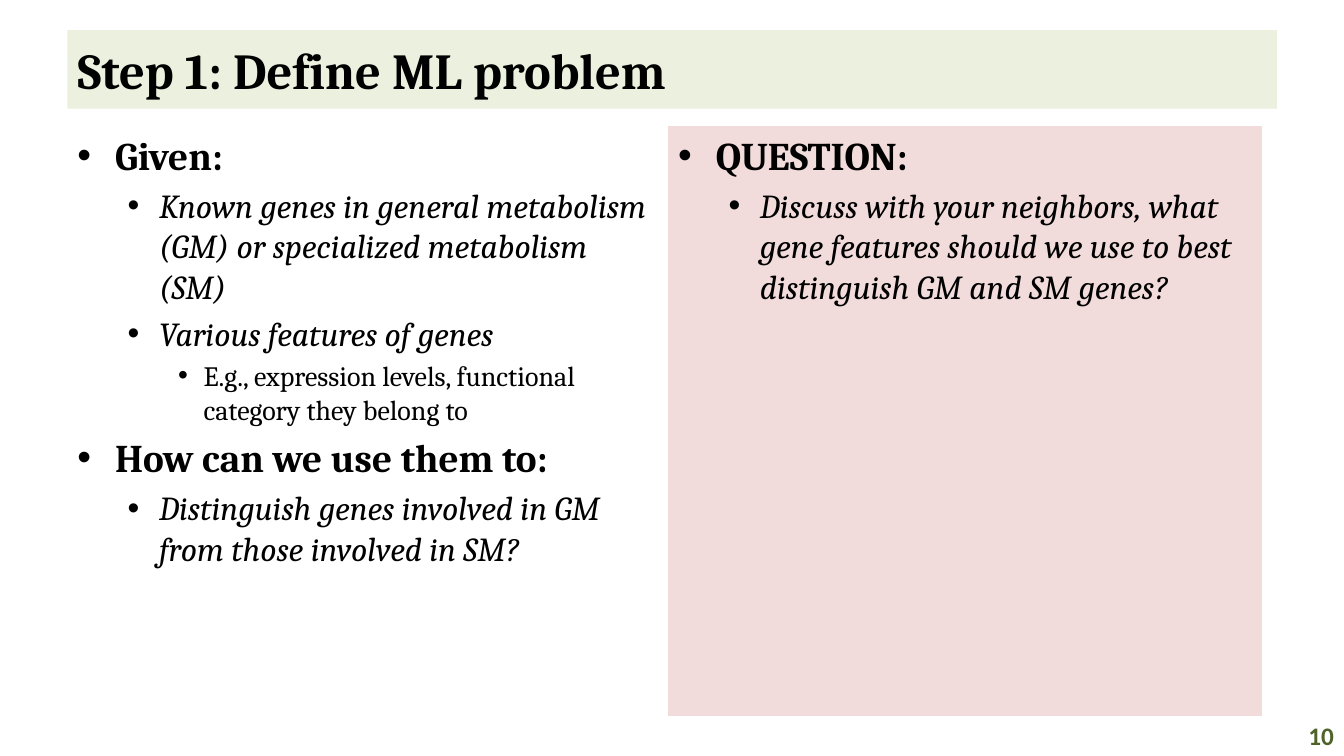
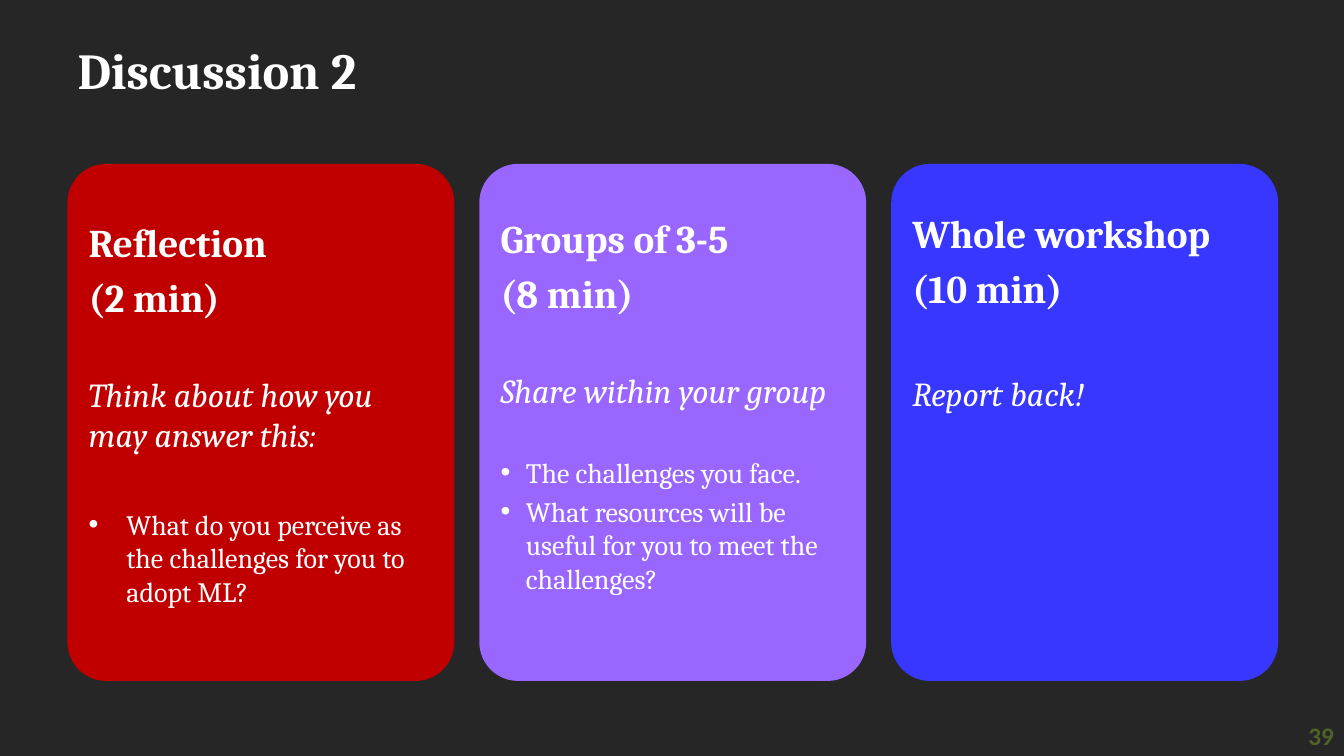
from dataclasses import dataclass

from lxml.etree import SubElement
from pptx import Presentation
from pptx.dml.color import RGBColor
from pptx.enum.shapes import MSO_SHAPE
from pptx.enum.text import MSO_ANCHOR, MSO_AUTO_SIZE, PP_ALIGN
from pptx.oxml.ns import qn
from pptx.util import Cm, Pt


@dataclass(frozen=True)
class Theme:
    heading_font: str = "Cambria"
    number_font: str = "Calibri"
    white: str = "FFFFFF"
    black: str = "000000"
    dark: str = "262626"
    title_band: str = "EBF1DE"
    question_panel: str = "F2DCDB"
    number: str = "4F6228"
    red: str = "C00000"
    purple: str = "9966FF"
    blue: str = "3737FF"
    title_size: int = 36
    number_size: int = 18
    heading_size: int = 28
    detail_size: int = 24
    note_size: int = 20


THEME = Theme()

HEADING = dict(size=THEME.heading_size, bold=True)
DETAIL = dict(size=THEME.detail_size, italic=True)
NOTE = dict(size=THEME.note_size)
OUTLINE = [
    dict(HEADING, level=0, indent=0.95, hanging=0.95),
    dict(DETAIL, level=1, indent=2.06, hanging=0.79),
    dict(NOTE, level=2, indent=3.18, hanging=0.64),
]

MARGIN = 1.7
COLUMN_TOP, COLUMN_WIDTH, COLUMN_HEIGHT = 3.18, 14.96, 14.86
QUESTION_LEFT = 16.84
CARD_TOP, CARD_WIDTH, CARD_HEIGHT, CARD_GAP = 4.13, 9.75, 13.03, 0.63


def color(value):
    return RGBColor.from_string(value)


def add_bullet(paragraph, indent, hanging):
    properties = paragraph._p.get_or_add_pPr()
    properties.set("marL", str(Cm(indent)))
    properties.set("indent", str(-Cm(hanging)))
    SubElement(properties, qn("a:buFont")).set("typeface", "Arial")
    SubElement(properties, qn("a:buChar")).set("char", "•")


def add_text(frame, text, *, size, ink, font=THEME.heading_font, bold=False,
             italic=False, align=PP_ALIGN.LEFT, level=0, indent=0, hanging=0,
             before=None):
    first = not frame.text
    paragraph = frame.paragraphs[0] if first else frame.add_paragraph()
    if hanging:
        add_bullet(paragraph, indent, hanging)
    paragraph.level = level
    paragraph.alignment = align
    spacing = size * 0.2 if before is None else before
    paragraph.space_before = Pt(0 if first else spacing)
    run = paragraph.add_run()
    run.text = text
    run.font.name = font
    run.font.size = Pt(size)
    run.font.bold = bold
    run.font.italic = italic
    run.font.color.rgb = color(ink)


def prepare_frame(shape, anchor):
    frame = shape.text_frame
    frame.word_wrap = True
    frame.auto_size = MSO_AUTO_SIZE.NONE
    frame.vertical_anchor = anchor
    return frame


def add_panel(slide, kind, box, fill):
    shape = slide.shapes.add_shape(kind, *map(Cm, box))
    shape.shadow.inherit = False
    shape.fill.solid()
    shape.fill.fore_color.rgb = color(fill)
    shape.line.fill.background()
    return shape


def add_text_box(slide, box, anchor):
    return prepare_frame(slide.shapes.add_textbox(*map(Cm, box)), anchor)


def add_slide(presentation, title_text, number, *, background, ink, band=None):
    slide = presentation.slides.add_slide(presentation.slide_layouts[5])
    slide.background.fill.solid()
    slide.background.fill.fore_color.rgb = color(background)
    title = slide.shapes.title
    title.left, title.top, title.width, title.height = map(
        Cm, (MARGIN, 0.76, 30.48, 1.98))
    if band:
        title.fill.solid()
        title.fill.fore_color.rgb = color(band)
    add_text(prepare_frame(title, MSO_ANCHOR.MIDDLE), title_text,
             size=THEME.title_size, ink=ink, bold=True)
    add_text(add_text_box(slide, (32.17, 18.03, 1.7, 1.02), MSO_ANCHOR.MIDDLE),
             str(number), size=THEME.number_size, ink=THEME.number,
             font=THEME.number_font, bold=True, align=PP_ALIGN.RIGHT)
    return slide


def add_outline(frame, items):
    for level, text in items:
        add_text(frame, text, ink=THEME.black, **OUTLINE[level])


def add_card(slide, column, fill, inset, items):
    left = MARGIN + column * (CARD_WIDTH + CARD_GAP)
    card = add_panel(slide, MSO_SHAPE.ROUNDED_RECTANGLE,
                     (left, CARD_TOP, CARD_WIDTH, CARD_HEIGHT), fill)
    card.adjustments[0] = 0.1
    frame = prepare_frame(card, MSO_ANCHOR.TOP)
    frame.margin_top = Cm(inset)
    for text, style in items:
        add_text(frame, text, ink=THEME.white, **style)


def build_problem_slide(presentation):
    slide = add_slide(presentation, "Step 1: Define ML problem", 10,
                      background=THEME.white, ink=THEME.black,
                      band=THEME.title_band)
    given = add_text_box(
        slide, (MARGIN, COLUMN_TOP, COLUMN_WIDTH, COLUMN_HEIGHT), MSO_ANCHOR.TOP)
    add_outline(given, [
        (0, "Given:"),
        (1, "Known genes in general metabolism (GM) or specialized metabolism (SM)"),
        (1, "Various features of genes"),
        (2, "E.g., expression levels, functional category they belong to"),
        (0, "How can we use them to:"),
        (1, "Distinguish genes involved in GM from those involved in SM?"),
    ])
    question = add_panel(
        slide, MSO_SHAPE.RECTANGLE,
        (QUESTION_LEFT, COLUMN_TOP, COLUMN_WIDTH, COLUMN_HEIGHT),
        THEME.question_panel)
    add_outline(prepare_frame(question, MSO_ANCHOR.TOP), [
        (0, "QUESTION:"),
        (1, "Discuss with your neighbors, what gene features should we use "
            "to best distinguish GM and SM genes?"),
    ])


def build_discussion_slide(presentation):
    slide = add_slide(presentation, "Discussion 2", 39,
                      background=THEME.dark, ink=THEME.white)
    wide_bullet = dict(NOTE, indent=0.95, hanging=0.95)
    bullet = dict(NOTE, indent=0.64, hanging=0.64)
    cards = [
        (THEME.red, 1.08, [
            ("Reflection", HEADING),
            ("(2 min)", HEADING),
            ("Think about how you may answer this:", dict(DETAIL, before=38.5)),
            ("What do you perceive as the challenges for you to adopt ML?",
             dict(wide_bullet, before=37.5)),
        ]),
        (THEME.purple, 0.98, [
            ("Groups of 3-5", HEADING),
            ("(8 min)", HEADING),
            ("Share within your group", dict(DETAIL, before=38.5)),
            ("The challenges you face.", dict(bullet, before=32)),
            ("What resources will be useful for you to meet the challenges?",
             bullet),
        ]),
        (THEME.blue, 0.87, [
            ("Whole workshop", HEADING),
            ("(10 min)", HEADING),
            ("Report back!", dict(DETAIL, before=44)),
        ]),
    ]
    for column, (fill, inset, items) in enumerate(cards):
        add_card(slide, column, fill, inset, items)


def main():
    presentation = Presentation()
    presentation.slide_width = Cm(33.87)
    presentation.slide_height = Cm(19.05)
    build_problem_slide(presentation)
    build_discussion_slide(presentation)
    presentation.save("out.pptx")


if __name__ == "__main__":
    main()
